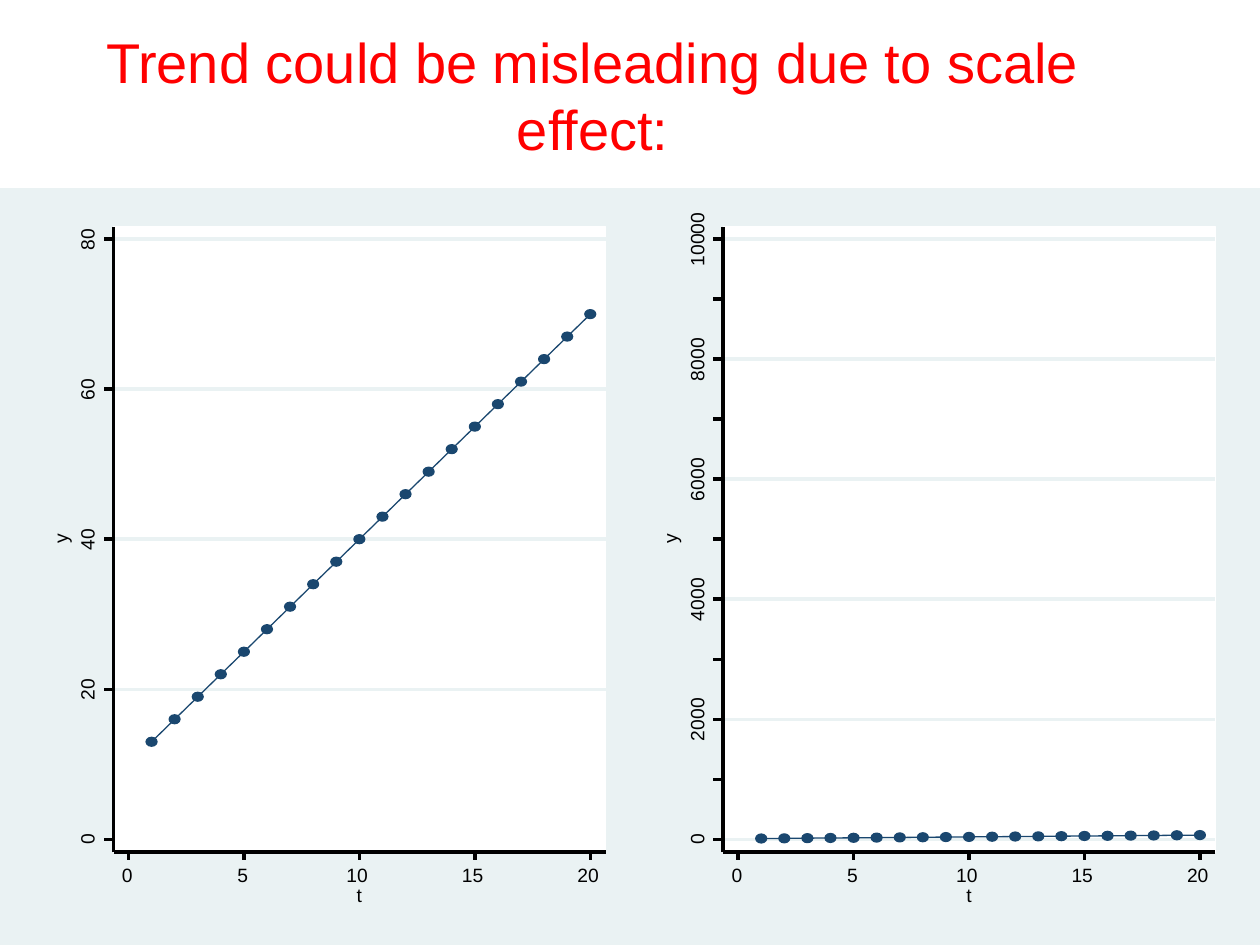
from lxml import etree
from pptx import Presentation
from pptx import util as u
from pptx.dml.color import RGBColor
from pptx.enum import shapes, text
from pptx.oxml.ns import qn

RED = RGBColor(0xFF, 0x00, 0x00)
BLACK = RGBColor(0x00, 0x00, 0x00)
WHITE = RGBColor(0xFF, 0xFF, 0xFF)
NAVY = RGBColor(0x1A, 0x47, 0x6F)
PALE = RGBColor(0xEA, 0xF2, 0xF3)
FONT = "Arial"

HEADING = "Trend could be misleading due to scale effect:"
POINTS = [(t, 10 + 3 * t) for t in range(1, 21)]
T_LABELS = range(0, 21, 5)
PANELS = [
    {"shift": 0, "top_value": 80, "labels": range(0, 81, 20),
     "ticks": range(0, 81, 20), "grid": range(20, 81, 20)},
    {"shift": 12.29, "top_value": 10000, "labels": range(0, 10001, 2000),
     "ticks": range(0, 10001, 1000), "grid": range(0, 10001, 2000)},
]

# Centimetres, for the first panel; the second one is shifted to the right.
PLOT_LEFT, PLOT_RIGHT, PLOT_TOP, PLOT_BOTTOM = 2.29, 12.21, 4.57, 17.18
T_ZERO, T_STEP = 2.59, 0.4655
Y_ZERO, Y_SPAN = 16.92, 12.1
T_TICK, Y_TICK = 0.15, 0.2
DOT_WIDTH, DOT_HEIGHT = 0.22, 0.18
LABEL_HEIGHT = 0.58
T_LABEL_TOP, Y_LABEL_CENTRE = 17.4, 1.81


def set_all(target, values):
    for name, value in values.items():
        setattr(target, name, value)


def add_solid(shapes_in, kind, place, color):
    """Add a preset shape with fill and hairline in one colour."""
    shape = shapes_in.add_shape(kind, *map(u.Cm, place))
    shape.shadow.inherit = False
    shape.fill.solid()
    shape.fill.fore_color.rgb = color
    shape.line.color.rgb = color
    shape.line.width = 0


def add_line(shapes_in, start, end, color):
    line = shapes_in.add_connector(
        shapes.MSO_CONNECTOR.STRAIGHT, *map(u.Cm, start + end))
    line.line.color.rgb = color
    line.line.width = 0
    etree.SubElement(line._element.spPr, qn("a:effectLst"))


def write(box, words, size, color):
    para = box.text_frame.paragraphs[0]
    span = para.add_run()
    span.text = words
    set_all(span.font, {"name": FONT, "size": u.Pt(size)})
    span.font.color.rgb = color
    return para


def add_label(shapes_in, words, left, top, width, rotation=0):
    box = shapes_in.add_textbox(*map(u.Cm, (left, top, width, LABEL_HEIGHT)))
    box.rotation = rotation
    set_all(box.text_frame, {
        "margin_left": 0, "margin_right": 0, "margin_top": 0, "margin_bottom": 0,
        "word_wrap": False, "auto_size": text.MSO_AUTO_SIZE.SHAPE_TO_FIT_TEXT})
    write(box, words, 11, BLACK)


def add_upright_label(shapes_in, words, centre_x, centre_y, width):
    add_label(shapes_in, words, centre_x - width / 2,
              centre_y - LABEL_HEIGHT / 2, width, 270)


def label_width(words):
    return 0.23 + 0.28 * len(words)


def add_panel(page, shift, top_value, labels, ticks, grid):
    parts = page.shapes.add_group_shape().shapes
    left, right = PLOT_LEFT + shift, PLOT_RIGHT + shift

    def t_at(t):
        return T_ZERO + shift + t * T_STEP

    def y_at(value):
        return Y_ZERO - Y_SPAN * value / top_value

    add_solid(parts, shapes.MSO_SHAPE.RECTANGLE,
              (left, PLOT_TOP, right - left, PLOT_BOTTOM - PLOT_TOP), WHITE)
    for value in grid:
        add_line(parts, (left, y_at(value)), (right, y_at(value)), PALE)

    spots = [(t_at(t), y_at(value)) for t, value in POINTS]
    corners = [(u.Cm(x), u.Cm(y)) for x, y in spots]
    builder = parts.build_freeform(*corners[0])
    builder.add_line_segments(corners[1:], close=False)
    trend = builder.convert_to_shape()
    trend.shadow.inherit = False
    trend.fill.background()
    trend.line.color.rgb = NAVY
    trend.line.width = 0
    for x, y in spots:
        add_solid(parts, shapes.MSO_SHAPE.OVAL,
                  (x - DOT_WIDTH / 2, y - DOT_HEIGHT / 2, DOT_WIDTH, DOT_HEIGHT), NAVY)

    add_line(parts, (left, PLOT_BOTTOM), (left, PLOT_TOP), BLACK)
    for value in ticks:
        add_line(parts, (left, y_at(value)), (left - Y_TICK, y_at(value)), BLACK)
    for value in labels:
        words = str(value)
        width = label_width(words)
        add_upright_label(parts, words, Y_LABEL_CENTRE + shift,
                          y_at(value) + 0.11 * len(words) - width / 2, width)
    add_upright_label(parts, "y", 1.27 + shift, 10.73, 0.46)

    add_line(parts, (left, PLOT_BOTTOM), (right, PLOT_BOTTOM), BLACK)
    for t in T_LABELS:
        words = str(t)
        add_line(parts, (t_at(t), PLOT_BOTTOM), (t_at(t), PLOT_BOTTOM + T_TICK), BLACK)
        add_label(parts, words, t_at(t) - 0.13 * len(words), T_LABEL_TOP,
                  label_width(words))
    add_label(parts, "t", 7.19 + shift, 17.81, 0.38)


def main():
    deck = Presentation()
    set_all(deck, {"slide_width": u.Cm(25.4), "slide_height": u.Cm(19.05)})
    page = deck.slides.add_slide(deck.slide_layouts[6])

    box = page.shapes.add_textbox(*map(u.Cm, (1.47, 0.43, 20.96, 3.94)))
    box.text_frame.word_wrap = True
    write(box, HEADING, 32, RED).alignment = text.PP_ALIGN.CENTER

    add_solid(page.shapes, shapes.MSO_SHAPE.RECTANGLE, (0, 3.8, 25.4, 15.25), PALE)
    for panel in PANELS:
        add_panel(page, **panel)
    deck.save("out.pptx")


if __name__ == "__main__":
    main()
